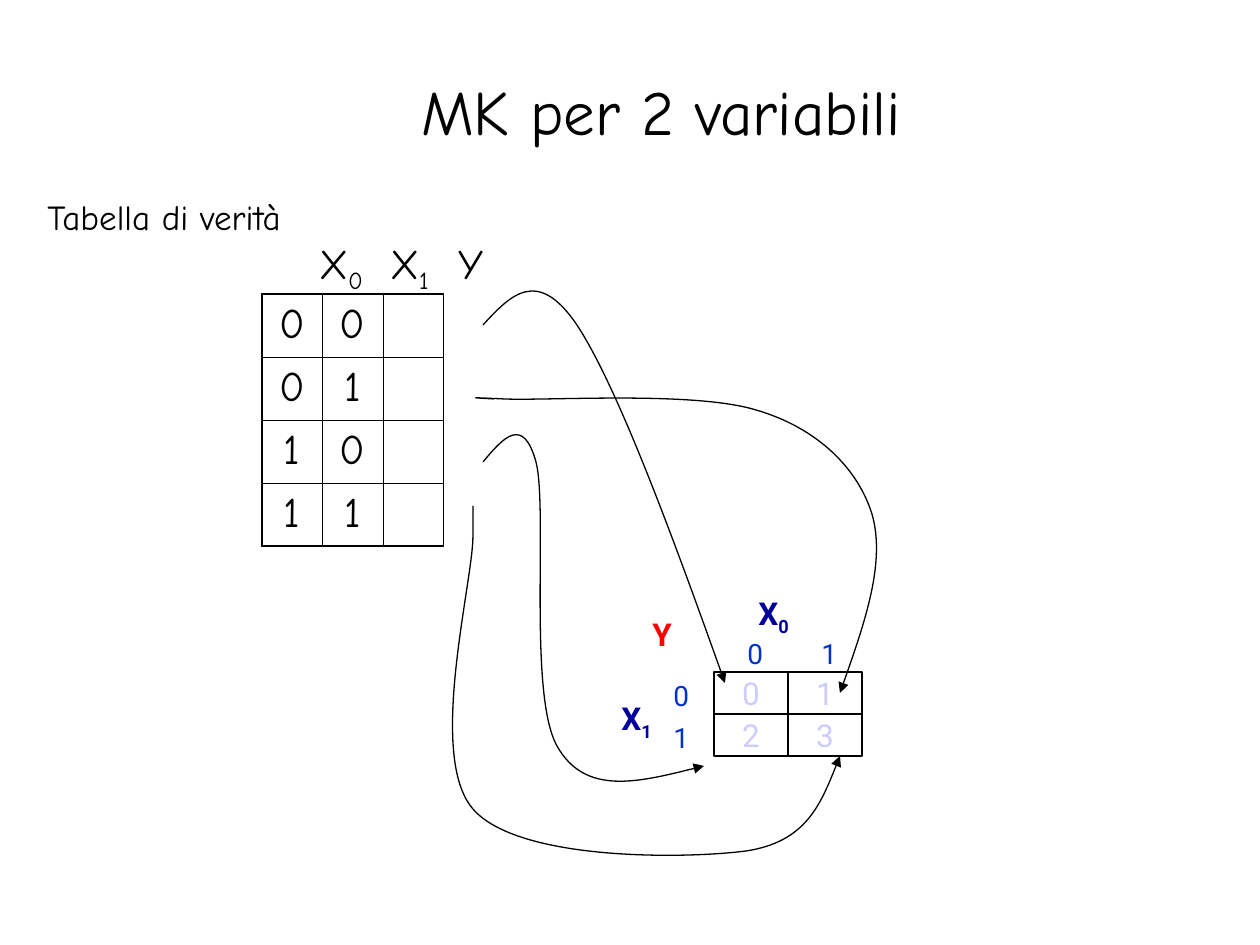
from itertools import product
from typing import NamedTuple

from lxml import etree
from pptx import Presentation
from pptx.dml.color import RGBColor
from pptx.enum.shapes import MSO_SHAPE
from pptx.enum.text import MSO_ANCHOR, PP_ALIGN
from pptx.oxml.ns import qn
from pptx.util import Pt

PX = 914400 / 126
RECTANGLE = MSO_SHAPE.RECTANGLE
TOP, MIDDLE = MSO_ANCHOR.TOP, MSO_ANCHOR.MIDDLE
LEFT, CENTER = PP_ALIGN.LEFT, PP_ALIGN.CENTER

HAND = {"name": "Comic Neue", "color": "000000"}
TITLE = {**HAND, "size": 36}
CAPTION = {**HAND, "size": 20}
TRUTH = {**HAND, "size": 24}
VARIABLE = {"name": "Roboto", "size": 18, "bold": True, "color": "000099"}
OUTPUT = {**VARIABLE, "color": "FF0000"}
INDEX = {"name": "Roboto", "size": 16, "color": "0033CC"}
CELL = {"name": "Roboto", "size": 18, "color": "CCCCFF"}

# Karnaugh map grid
MAP_X, MAP_Y, MAP_W, MAP_H = 714, 672, 74, 42


class Label(NamedTuple):
    """Text box; a piece that starts with "_" is a subscript."""
    x: int
    y: int
    w: int
    h: int
    pieces: tuple[str, ...]
    style: dict
    align: PP_ALIGN = LEFT
    anchor: MSO_ANCHOR = TOP
    tabs: tuple[int, ...] = ()


class Curve(NamedTuple):
    """Start point, then two control points and an end for each Bézier arc."""
    start: tuple[int, int]
    arcs: tuple[tuple[int, int], ...]


LABELS = [
    Label(136, 63, 1050, 95, ("MK per 2 variabili",), TITLE, CENTER, MIDDLE),
    Label(35, 189, 263, 55, ("Tabella di verità",), CAPTION),
    Label(307, 231, 200, 70, ("X", "_0", "\tX", "_1", "\tY"), TRUTH, tabs=(71, 139)),
    Label(640, 609, 63, 50, ("Y",), OUTPUT),
    Label(746, 588, 63, 55, ("X", "_0"), VARIABLE),
    Label(609, 693, 84, 55, ("X", "_1"), VARIABLE),
]

CURVES = [
    Curve((483, 325), ((510, 296), (537, 266), (577, 325),
                       (617, 386), (672, 534), (725, 683))),
    Curve((494, 399), ((476, 398), (460, 397), (504, 399),
                       (548, 401), (694, 391), (756, 410),
                       (818, 428), (858, 469), (872, 514),
                       (886, 562), (863, 628), (840, 693))),
    Curve((483, 462), ((503, 438), (523, 415), (536, 462),
                       (548, 509), (528, 694), (557, 746),
                       (585, 796), (644, 781), (704, 766))),
    Curve((473, 525), ((473, 507), (473, 489), (473, 536),
                       (473, 583), (427, 756), (473, 809),
                       (518, 861), (684, 859), (746, 851),
                       (806, 842), (823, 799), (840, 756))),
]


def px(*lengths: int) -> list[int]:
    return [round(n * PX) for n in lengths]


def rgb(color: str) -> RGBColor:
    return RGBColor.from_string(color)


def write(tf, pieces: tuple[str, ...], style: dict, align=CENTER) -> None:
    p = tf.paragraphs[0]
    p.alignment = align
    for piece in pieces:
        r = p.add_run()
        r.text = piece.removeprefix("_")
        for key, value in style.items():
            if key == "color":
                r.font.color.rgb = rgb(value)
            else:
                setattr(r.font, key, Pt(value) if key == "size" else value)
        if piece.startswith("_"):
            r._r.get_or_add_rPr().set("baseline", "-25000")


def add_label(slide, label: Label) -> None:
    tf = slide.shapes.add_textbox(*px(*label[:4])).text_frame
    tf.word_wrap = True
    tf.vertical_anchor = label.anchor
    if label.tabs:
        tabs = etree.SubElement(tf.paragraphs[0]._p.get_or_add_pPr(), qn("a:tabLst"))
        for stop in px(*label.tabs):
            etree.SubElement(tabs, qn("a:tab"), pos=str(stop), algn="l")
    write(tf, label.pieces, label.style, label.align)


def set_outline(sp) -> None:
    sp.shadow.inherit = False
    sp.fill.background()
    sp.line.color.rgb = rgb("000000")
    sp.line.width = Pt(0.75)


def add_map_cell(slide, row: int, col: int) -> None:
    box = px(MAP_X + col * MAP_W, MAP_Y + row * MAP_H, MAP_W, MAP_H)
    sp = slide.shapes.add_shape(RECTANGLE, *box)
    set_outline(sp)
    tf = sp.text_frame
    tf.word_wrap = False
    tf.vertical_anchor = MIDDLE
    write(tf, (str(2 * row + col),), CELL)


def add_curve(slide, curve: Curve) -> None:
    """Fold every three line segments of a freeform into one Bézier arc."""
    builder = slide.shapes.build_freeform(*curve.start, scale=PX)
    builder.add_line_segments(curve.arcs, close=False)
    sp = builder.convert_to_shape()
    set_outline(sp)
    outline = next(sp._element.iter(qn("a:path")))
    lines = outline.findall(qn("a:lnTo"))
    for i in range(0, len(lines), 3):
        arc = etree.SubElement(outline, qn("a:cubicBezTo"))
        for line in lines[i:i + 3]:
            arc.append(line[0])
            outline.remove(line)
    etree.SubElement(sp.line._get_or_add_ln(), qn("a:tailEnd"), type="triangle")


def set_borders(cell, outer: dict[str, bool]) -> None:
    tcPr = cell._tc.get_or_add_tcPr()
    for side, is_outer in outer.items():
        width = Pt(1.08 if is_outer else 0.45)
        ln = etree.SubElement(tcPr, qn(f"a:{side}"), w=str(width))
        fill = etree.SubElement(ln, qn("a:solidFill"))
        etree.SubElement(fill, qn("a:srgbClr"), val="000000")


def add_truth_table(slide) -> None:
    inputs = list(product("01", repeat=2))
    rows, cols = len(inputs), 3
    table = slide.shapes.add_table(rows, cols, *px(262, 294, 181, 252)).table
    table.first_row = table.horz_banding = False
    for column in table.columns:
        column.width = px(60.5)[0]
    for i, values in enumerate(inputs):
        table.rows[i].height = px(63)[0]
        for j in range(cols):
            cell = table.cell(i, j)
            set_borders(cell, {"lnL": j == 0, "lnR": j == cols - 1,
                               "lnT": i == 0, "lnB": i == rows - 1})
            cell.fill.background()
            if j < len(values):
                write(cell.text_frame, (values[j],), TRUTH)


def main() -> None:
    prs = Presentation()
    prs.slide_width, prs.slide_height = px(1260, 945)
    slide = prs.slides.add_slide(prs.slide_layouts[6])
    for row, col in product(range(2), repeat=2):
        add_map_cell(slide, row, col)
    indices = [Label(x, y, 40, 47, (str(i),), INDEX)
               for i in range(2)
               for x, y in ((735 + i * MAP_W, 630), (661, MAP_Y + i * MAP_H))]
    for label in LABELS + indices:
        add_label(slide, label)
    add_truth_table(slide)
    for curve in CURVES:
        add_curve(slide, curve)
    prs.save("out.pptx")


if __name__ == "__main__":
    main()
